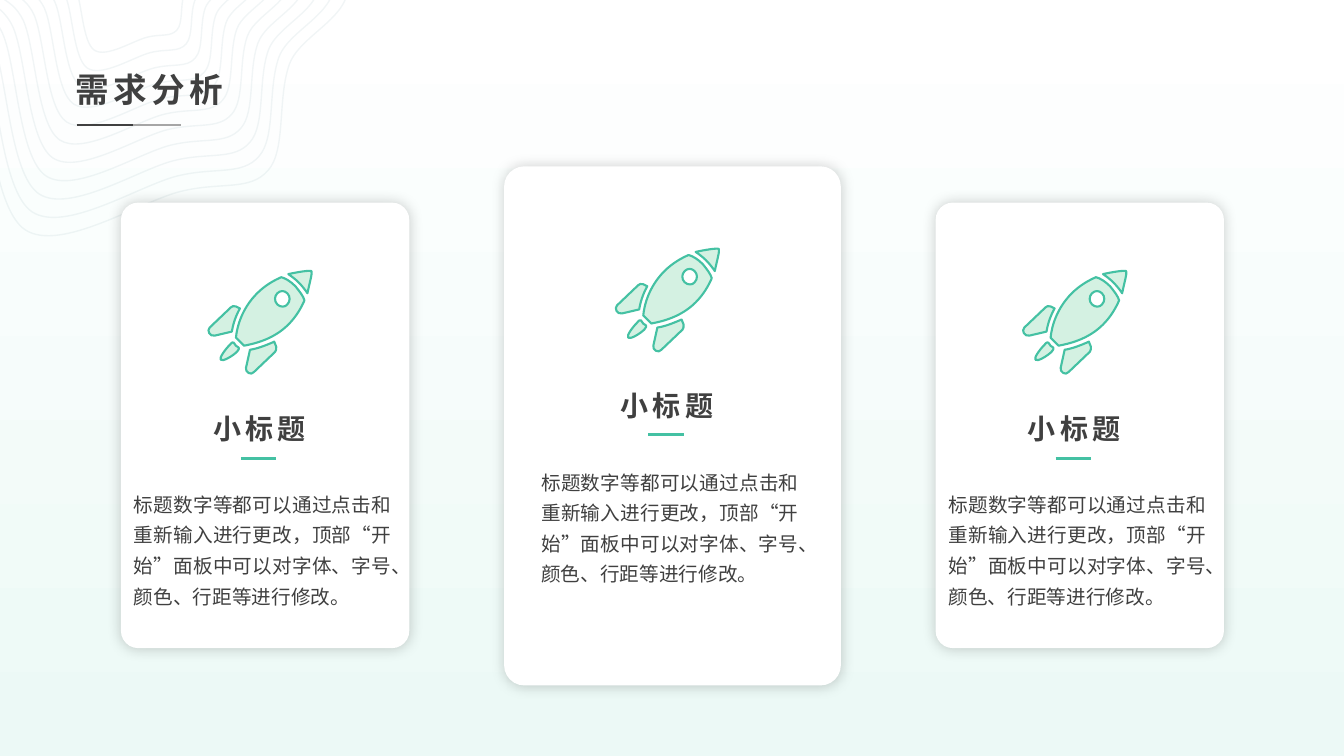
from lxml import etree
from pptx import Presentation
from pptx.dml.color import RGBColor
from pptx.enum import shapes, text
from pptx.oxml.ns import qn
from pptx.util import Inches, Pt

TITLE = "需求分析"
LABEL = "小标题"
BODY = ("标题数字等都可以通过点击和重新输入进行更改，顶部“开始”面板中可以对字体、"
        "字号、颜色、行距等进行修改。")
INK, GREY, GREEN, MINT, WHITE, TEAL = "404040", "A6A6A6", "44C1A3", "D4F1E2", "FFFFFF", "1E5E70"
FONT, CJK_FONT = "Arial", "Noto Sans CJK SC"

# left, top, width, height, upward shift of the content, height of the short rule
CARDS = [
    (1.2, 2.01, 2.86, 4.42, 0, 4.55),
    (5, 1.65, 3.34, 5.15, 0.22, 4.31),
    (9.28, 2.01, 2.86, 4.42, 0, 4.55),
]
CARD_STEP = 4.04

# Outlines: M starts a part, L is a straight side, C a cubic curve, Z closes
ROCKET = [
    "M 3.09 2.69 C 3.07 2.68 2.95 2.7 2.86 2.72 C 2.89 2.74 2.93 2.77 2.96 2.8 "
    "C 3 2.84 3.03 2.88 3.05 2.91 C 3.07 2.81 3.1 2.71 3.09 2.69 Z",
    "M 2.38 3.06 L 2.34 3.04 C 2.32 3.03 2.3 3.04 2.29 3.05 L 2.08 3.25 "
    "C 2.05 3.28 2.08 3.34 2.13 3.33 L 2.3 3.29 C 2.31 3.23 2.33 3.15 2.38 3.06 Z",
    "M 2.72 3.39 C 2.63 3.43 2.55 3.46 2.48 3.47 L 2.44 3.65 C 2.43 3.69 2.49 3.73 2.52 3.69 "
    "L 2.73 3.49 C 2.74 3.48 2.74 3.46 2.74 3.44 L 2.72 3.39 Z",
    "M 2.79 2.75 C 2.72 2.78 2.63 2.83 2.55 2.91 C 2.4 3.06 2.35 3.24 2.34 3.35 L 2.42 3.43 "
    "C 2.52 3.41 2.71 3.37 2.86 3.22 C 2.94 3.14 2.99 3.05 3.02 2.98 "
    "C 3.01 2.94 2.97 2.89 2.93 2.84 C 2.88 2.79 2.83 2.76 2.79 2.75 Z "
    "M 2.85 3.02 C 2.83 3.05 2.78 3.05 2.75 3.02 C 2.72 2.99 2.72 2.94 2.75 2.91 "
    "C 2.78 2.88 2.82 2.88 2.85 2.91 C 2.88 2.94 2.88 2.99 2.85 3.02 Z",
    "M 2.34 3.43 C 2.32 3.41 2.32 3.37 2.28 3.42 C 2.24 3.46 2.17 3.55 2.19 3.57 "
    "C 2.21 3.59 2.31 3.53 2.35 3.49 C 2.39 3.44 2.36 3.45 2.34 3.43 Z",
]
CONTOUR = (
    "M 1.79 1.9 C 1.39 2 0.6 2.51 0.25 2.28 C -0.09 2.05 -0.11 0.91 -0.29 0.51 "
    "C -0.48 0.11 -0.82 0.2 -0.85 -0.14 C -0.89 -0.48 -0.84 -1.2 -0.5 -1.53 "
    "C -0.17 -1.87 0.51 -2.36 1.15 -2.16 C 1.8 -1.96 3.1 -0.82 3.38 -0.35 "
    "C 3.67 0.12 2.99 0.3 2.87 0.64 C 2.75 0.98 2.84 1.49 2.66 1.69 "
    "C 2.48 1.9 2.19 1.8 1.79 1.9 Z"
)
CONTOUR_COUNT, CONTOUR_SMALLEST = 11, 0.34
CONTOUR_CENTRE = (1.29, -0.42)


def color(value):
    return RGBColor.from_string(value)


def add_xml(parent, tag, **attributes):
    return etree.SubElement(parent, qn(tag), attributes)


def add_outline(parent, outline, place):
    """Draw an outline string, with place(x, y) mapping each point to inches."""
    builder, curves = None, []
    for part in outline.split("Z")[:-1]:
        tokens, points = part.split(), []
        while tokens:
            command = tokens.pop(0)
            count = 3 if command == "C" else 1
            if command != "M":
                curves.append(command == "C")
            for _ in range(count):
                x, y = place(float(tokens.pop(0)), float(tokens.pop(0)))
                points.append((Inches(x), Inches(y)))
        if builder is None:
            builder = parent.shapes.build_freeform(*points[0], scale=1.0)
        else:
            builder.move_to(*points[0])
        builder.add_line_segments(points[1:], close=True)
    shape = builder.convert_to_shape()
    sides = iter(list(shape._element.iter(qn("a:lnTo"))))
    for is_curve in curves:
        side = next(sides)
        if is_curve:
            side.tag = qn("a:cubicBezTo")
            for _ in range(2):
                extra = next(sides)
                side.append(extra[0])
                extra.getparent().remove(extra)
    shape.shadow.inherit = False
    return shape


def add_rule(slide, left, right, y, line_color, width):
    rule = slide.shapes.add_connector(shapes.MSO_CONNECTOR.STRAIGHT, Inches(left), Inches(y),
                                      Inches(right), Inches(y))
    rule.line.color.rgb = color(line_color)
    rule.line.width = Pt(width)
    add_xml(rule._element.spPr, "a:effectLst")


def set_text(box, words, size, align, font=FONT, bold=False, spacing=0, line_spacing=1.0):
    frame = box.text_frame
    frame.text = words
    frame.word_wrap = True
    frame.auto_size = text.MSO_AUTO_SIZE.SHAPE_TO_FIT_TEXT
    para = frame.paragraphs[0]
    para.alignment, para.line_spacing = align, line_spacing
    span = para.runs[0]
    span.font.size, span.font.bold, span.font.name = Pt(size), bold, font
    span.font.color.rgb = color(INK)
    properties = span.font._element
    properties.set("lang", "zh-CN")
    properties.set("spc", str(spacing * 100))
    add_xml(properties, "a:ea", typeface=CJK_FONT)


def add_contours(slide):
    group = slide.shapes.add_group_shape()
    centre_x, centre_y = CONTOUR_CENTRE
    for index in range(CONTOUR_COUNT):
        scale = 1 - (1 - CONTOUR_SMALLEST) * index / (CONTOUR_COUNT - 1)
        ring = add_outline(group, CONTOUR, lambda x, y: (centre_x + (x - centre_x) * scale,
                                                         centre_y + (y - centre_y) * scale))
        ring.fill.background()
        ring.line.color.rgb = color(TEAL)
        ring.line.width = Pt(1)
        add_xml(next(ring.line._ln.iter(qn("a:srgbClr"))), "a:alpha", val="5000")


def add_card(slide, index, left, top, width, height, shift, rule_y):
    card = slide.shapes.add_shape(shapes.MSO_SHAPE.ROUNDED_RECTANGLE, Inches(left), Inches(top),
                                  Inches(width), Inches(height))
    card.adjustments[0] = 0.06
    card.fill.solid()
    card.fill.fore_color.rgb = color(WHITE)
    card.line.fill.background()
    card.shadow.inherit = False
    glow = add_xml(card._element.spPr.find(qn("a:effectLst")), "a:outerShdw",
                   blurRad=str(Pt(10)), dist="0", dir="0", algn="ctr", rotWithShape="0")
    add_xml(add_xml(glow, "a:srgbClr", val="000000"), "a:alpha", val="20000")

    across = index * CARD_STEP
    label = slide.shapes.add_textbox(Inches(1.97 + across), Inches(4.03 - shift),
                                     Inches(1.21), Inches(0.44))
    set_text(label, LABEL, 20, text.PP_ALIGN.CENTER, bold=True, spacing=3)
    body = slide.shapes.add_textbox(Inches(1.23 + across), Inches(4.77 - shift),
                                    Inches(2.75), Inches(1.3))
    set_text(body, BODY, 14, text.PP_ALIGN.JUSTIFY, line_spacing=1.3)

    rocket = slide.shapes.add_group_shape()
    for outline in ROCKET:
        part = add_outline(rocket, outline, lambda x, y: (x + across, y - shift))
        part.fill.solid()
        part.fill.fore_color.rgb = color(MINT)
        part.line.color.rgb = color(GREEN)
        part.line.width = Pt(1.5)
    add_rule(slide, 2.39 + across, 2.74 + across, rule_y, GREEN, 2)


def main():
    deck = Presentation()
    deck.slide_width, deck.slide_height = Inches(13.33), Inches(7.5)
    slide = deck.slides.add_slide(deck.slide_layouts[5])

    backdrop = slide.background.fill
    backdrop.gradient()
    backdrop.gradient_angle = 270
    for stop, value in zip(backdrop.gradient_stops, (WHITE, "ECF9F6")):
        stop.color.rgb = color(value)

    add_contours(slide)
    title = slide.shapes.title
    title.left, title.top, title.width, title.height = map(Inches, (0.65, 0.68, 1.72, 0.46))
    set_text(title, TITLE, 24, text.PP_ALIGN.LEFT, CJK_FONT, bold=True, spacing=3,
             line_spacing=0.9)
    title.text_frame.word_wrap = False
    title.text_frame.vertical_anchor = text.MSO_ANCHOR.MIDDLE
    add_rule(slide, 0.76, 1.8, 1.24, GREY, 1)
    add_rule(slide, 0.76, 1.32, 1.24, INK, 1)

    for index, card in enumerate(CARDS):
        add_card(slide, index, *card)
    deck.save("out.pptx")


if __name__ == "__main__":
    main()
